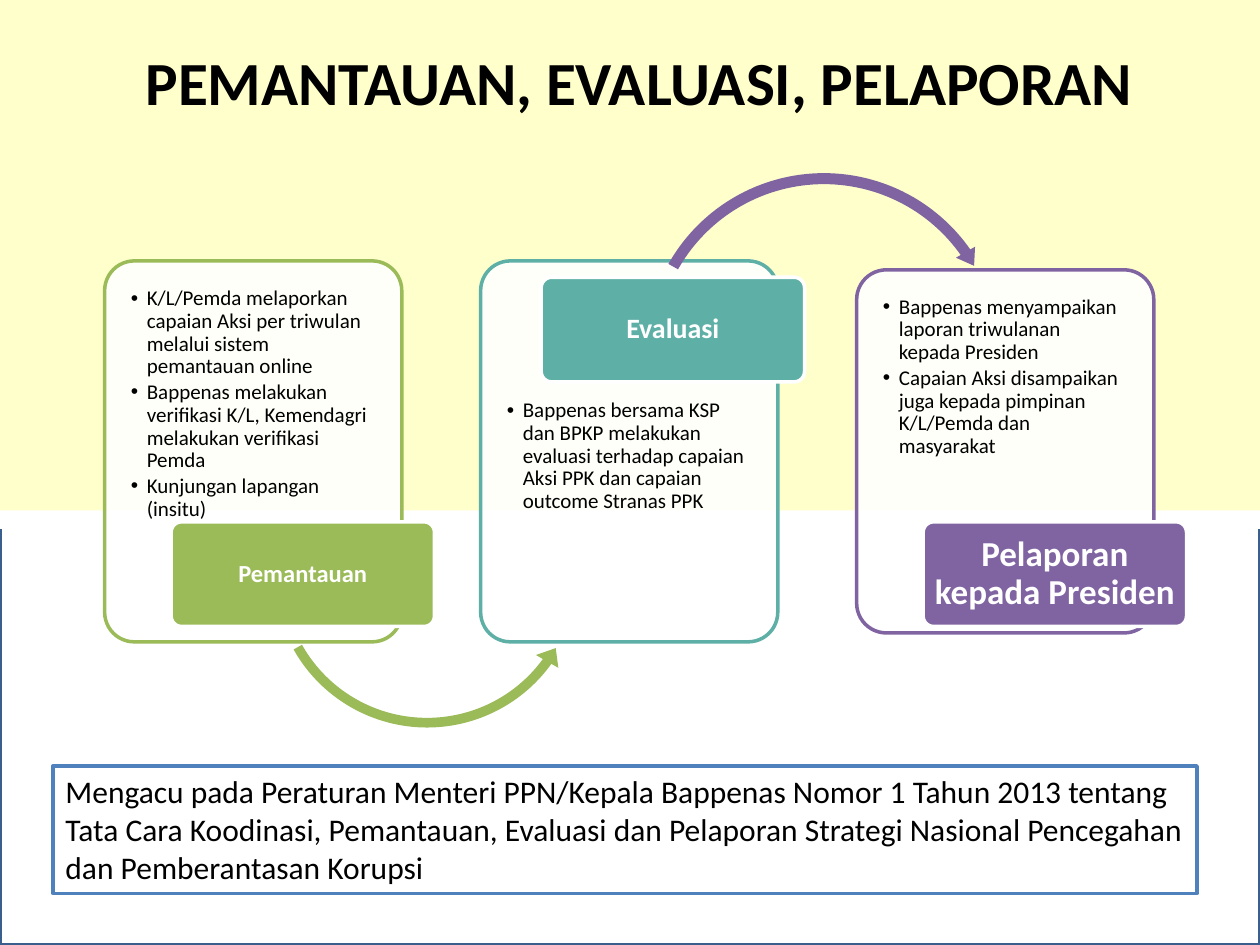
"""Build the slide on monitoring, evaluation and reporting."""
import pptx
import pptx.util
import pptx.dml.color
import pptx.enum.shapes
import pptx.enum.text
import pptx.oxml.ns
from lxml import etree

Cm, Pt = pptx.util.Cm, pptx.util.Pt
Kind = pptx.enum.shapes.MSO_SHAPE
Align = pptx.enum.text.PP_ALIGN
Anchor = pptx.enum.text.MSO_ANCHOR
qn = pptx.oxml.ns.qn

HUES = {"white": "FFFFFF", "cream": "FFFFCC", "navy": "3A5F8C",
        "green": "9BBB59", "teal": "5EAFA6", "purple": "8064A2",
        "blue": "4F81BD", "black": "000000"}

TITLE = "PEMANTAUAN, EVALUASI, PELAPORAN"
NOTE = ("Mengacu pada Peraturan Menteri PPN/Kepala Bappenas Nomor 1 Tahun 2013 "
        "tentang Tata Cara Koodinasi, Pemantauan, Evaluasi dan Pelaporan "
        "Strategi Nasional Pencegahan dan Pemberantasan Korupsi")
BANDS = [
    ((0, 10.52, 25.4, 8.53), "white", "navy", 2),
    ((0, 10.21, 25.4, 0.38), "white", "white", 4),
    ((0, 0, 25.4, 10.29), "cream", None, 0),
]
STEPS = [
    {"name": "Pemantauan", "size": 14, "hue": "green",
     "card": (5.26, 7.68), "list": 5.44, "tag": (1.34, 10.52),
     "arrow": (Kind.LEFT_CIRCULAR_ARROW, (5.36, 8.33, 6.5, 6.5),
               (0.03, 3.67, 21.56, 90.37, 0.04)),
     "items": ["K/L/Pemda melaporkan capaian Aksi per triwulan melalui sistem "
               "pemantauan online",
               "Bappenas melakukan verifikasi K/L, Kemendagri melakukan "
               "verifikasi Pemda",
               "Kunjungan lapangan (insitu)"]},
    {"name": "Evaluasi", "size": 16, "hue": "teal",
     "card": (5.26, 7.68), "list": 7.7, "tag": (1.22, 5.59),
     "arrow": (Kind.CIRCULAR_ARROW, (12.9, 3.38, 7.42, 7.42),
               (0.03, 3.19, 194.96, 125.66, 0.03)),
     "items": ["Bappenas bersama KSP dan BPKP melakukan evaluasi terhadap "
               "capaian Aksi PPK dan capaian outcome Stranas PPK"]},
    {"name": "Pelaporan kepada Presiden", "size": 20, "hue": "purple",
     "card": (5.44, 7.32), "list": 5.61, "tag": (1.34, 10.52), "arrow": None,
     "items": ["Bappenas menyampaikan laporan triwulanan kepada Presiden",
               "Capaian Aksi disampaikan juga kepada pimpinan K/L/Pemda dan "
               "masyarakat"]},
]
LEFT, STEP, WIDE = 2.11, 7.58, 5.99
ARROW_HUES = {Kind.LEFT_CIRCULAR_ARROW: "green", Kind.CIRCULAR_ARROW: "purple"}


def tint(name):
    return pptx.dml.color.RGBColor.from_string(HUES[name])


def paint(shape, fill, line=None, width=2, alpha=None):
    shape.fill.solid()
    shape.fill.fore_color.rgb = tint(fill)
    if alpha:
        color = next(shape.element.spPr.iter(qn("a:srgbClr")))
        etree.SubElement(color, qn("a:alpha"), val=str(alpha * 1000))
    if line:
        shape.line.color.rgb = tint(line)
        shape.line.width = Pt(width)
    else:
        shape.line.fill.background()


def draw(slide, kind, box, fill, line=None, width=2, alpha=None, adjust=()):
    shape = slide.shapes.add_shape(kind, *map(Cm, box))
    shape.shadow.inherit = False
    paint(shape, fill, line, width, alpha)
    for i, value in enumerate(adjust):
        shape.adjustments[i] = value
    return shape


def place(shape, box):
    shape.left, shape.top, shape.width, shape.height = map(Cm, box)
    shape.element.getparent().append(shape.element)
    return shape


def write(shape, *texts, size=18, hue="black", bold=False, align=Align.LEFT,
          anchor=Anchor.TOP, pad=(0.25, 0.13), space=1.0, after=0, bullet=False):
    frame = shape.text_frame
    frame.word_wrap = True
    frame.auto_size = pptx.enum.text.MSO_AUTO_SIZE.NONE
    frame.vertical_anchor = anchor
    frame.margin_left = frame.margin_right = Cm(pad[0])
    frame.margin_top = frame.margin_bottom = Cm(pad[1])
    for i, text in enumerate(texts):
        para = frame.paragraphs[0] if i == 0 else frame.add_paragraph()
        para.alignment, para.line_spacing = align, space
        para.space_before, para.space_after = Pt(0), Pt(after)
        run = para.add_run()
        run.text = text
        font = run.font
        font.name, font.size, font.bold = "Calibri", Pt(size), bold
        font.color.rgb = tint(hue)
        props = para._p.get_or_add_pPr()
        dent = Cm(0.32) if bullet else 0
        props.set("marL", str(dent))
        props.set("indent", str(-dent))
        if bullet:
            etree.SubElement(props, qn("a:buChar"), char="•")
        else:
            etree.SubElement(props, qn("a:buNone"))


def main():
    deck = pptx.Presentation()
    deck.slide_width, deck.slide_height = Cm(25.4), Cm(19.05)
    slide = deck.slides.add_slide(deck.slide_layouts.get_by_name("Comparison"))
    title, *lists, note = slide.placeholders

    for box, fill, line, width in BANDS:
        draw(slide, Kind.RECTANGLE, box, fill, line, width)

    for i, (step, body) in enumerate(zip(STEPS, lists)):
        left, hue = LEFT + i * STEP, step["hue"]
        top, high = step["card"]
        draw(slide, Kind.ROUNDED_RECTANGLE, (left, top, WIDE, high), "white",
             hue, alpha=90, adjust=[0.1])
        place(body, (left + 0.17, step["list"], 5.64, 5.7))
        write(body, *step["items"], size=12, pad=(0.36, 0.36), space=0.9,
              after=1.8, bullet=True)
        if step["arrow"]:
            kind, box, adjust = step["arrow"]
            draw(slide, kind, box, ARROW_HUES[kind], adjust=adjust)
        shift, top = step["tag"]
        tag = draw(slide, Kind.ROUNDED_RECTANGLE, (left + shift, top, 5.31, 2.11),
                   hue, "white", adjust=[0.1])
        write(tag, step["name"], size=step["size"], hue="white", bold=True,
              align=Align.CENTER, anchor=Anchor.MIDDLE, pad=(0.1, 0.1), space=0.9)

    place(title, (2.49, 0.76, 20.8, 1.75))
    write(title, TITLE, size=35, bold=True, align=Align.CENTER,
          anchor=Anchor.MIDDLE)
    place(note, (1.07, 15.44, 23.06, 2.57))
    paint(note, "white", "blue")
    write(note, NOTE)
    deck.save("out.pptx")


if __name__ == "__main__":
    main()
